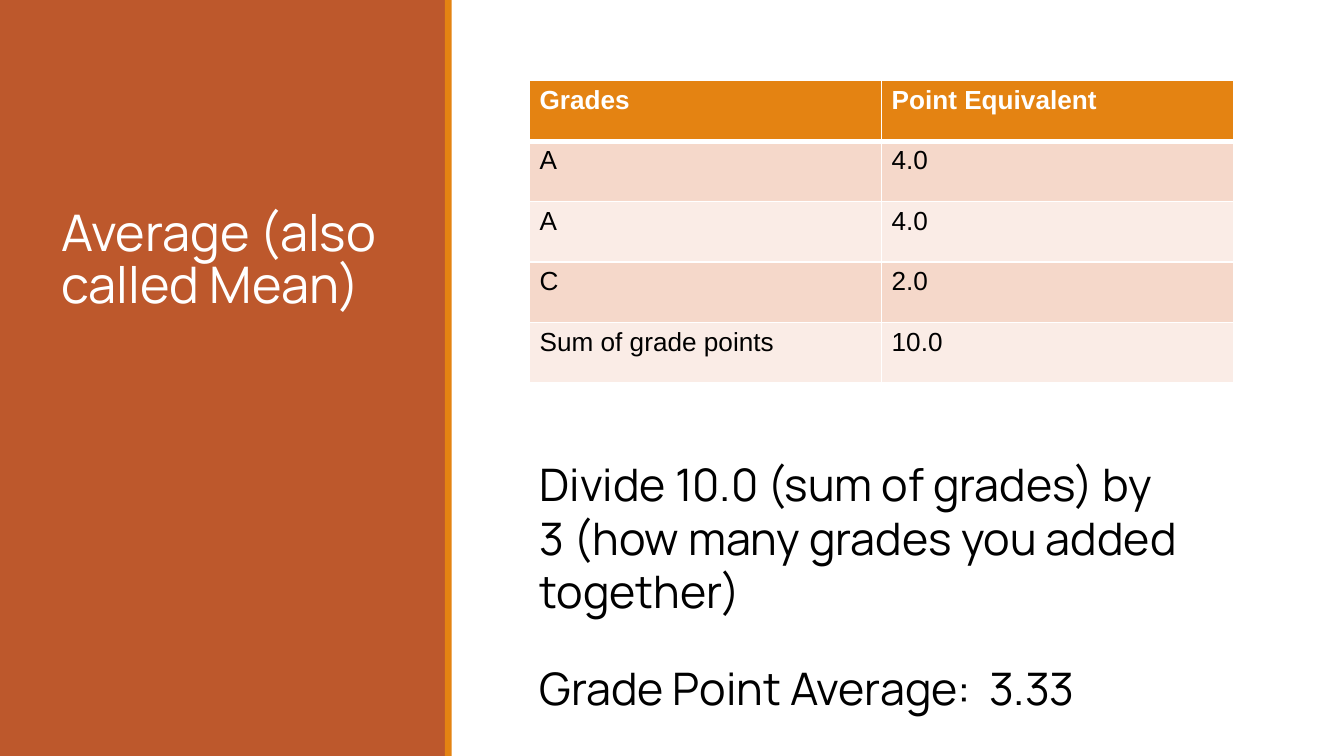
import pptx
import pptx.util
import pptx.dml.color
import pptx.enum.shapes
import pptx.enum.text
import pptx.oxml
import pptx.oxml.ns

W = 10
H = W * 9 / 16
LEFT = 3.94
COL, ROW = 2.62, 0.45
RUST, ORANGE, WHITE, BLACK = "BD582C", "E48312", "FFFFFF", "000000"
BANDS = ("F5D8CA", "FAECE6")
GRADES = [
    ("Grades", "Point Equivalent"),
    ("A", "4.0"),
    ("A", "4.0"),
    ("C", "2.0"),
    ("Sum of grade points", "10.0"),
]


def inches(*lengths):
    return [pptx.util.Inches(n) for n in lengths]


def paint(fill, color):
    fill.solid()
    fill.fore_color.rgb = pptx.dml.color.RGBColor.from_string(color)


def set_margins(holder):
    holder.margin_left = holder.margin_right = pptx.util.Pt(5.4)
    holder.margin_top = holder.margin_bottom = pptx.util.Pt(2.7)


def write(tf, text, size=24, font="Manrope", color=BLACK, bold=False, spacing=None):
    p = tf.paragraphs[0]
    p.line_spacing = spacing
    r = p.add_run()
    r.text = text
    r.font.size = pptx.util.Pt(size)
    r.font.name = font
    r.font.bold = bold
    paint(r.font.fill, color)


def add_bar(s, left, width, color):
    sp = s.shapes.add_shape(
        pptx.enum.shapes.MSO_SHAPE.RECTANGLE, *inches(left, 0, width, H))
    sp.shadow.inherit = False
    paint(sp.fill, color)
    sp.line.fill.background()


def add_text(s, text, box, anchor="TOP", **style):
    tf = s.shapes.add_textbox(*inches(*box)).text_frame
    tf.word_wrap = True
    tf.vertical_anchor = pptx.enum.text.MSO_ANCHOR[anchor]
    set_margins(tf)
    write(tf, text, **style)


def set_border(cell, index, side, points):
    ns = pptx.oxml.ns.nsdecls("a")
    ln = pptx.oxml.parse_xml(
        f'<a:ln{side} {ns} w="{pptx.util.Pt(points)}"><a:solidFill>'
        f'<a:srgbClr val="{WHITE}"/></a:solidFill></a:ln{side}>')
    cell._tc.get_or_add_tcPr().insert(index, ln)


def add_table(s, rows, left, top):
    cols = len(rows[0])
    table = s.shapes.add_table(
        len(rows), cols, *inches(left, top, cols * COL, len(rows) * ROW)).table
    for i, row in enumerate(rows):
        head = i == 0
        for j, text in enumerate(row):
            cell = table.cell(i, j)
            set_margins(cell)
            paint(cell.fill, ORANGE if head else BANDS[(i - 1) % 2])
            write(cell.text_frame, text, size=14, font="Arial",
                  color=WHITE if head else BLACK, bold=head)
            for index, side in enumerate("LRTB"):
                thick = (head and side == "B") or (i == 1 and side == "T")
                set_border(cell, index, side, 3 if thick else 1)


def main():
    prs = pptx.Presentation()
    prs.slide_width, prs.slide_height = inches(W, H)
    s = prs.slides.add_slide(prs.slide_layouts[6])
    add_bar(s, 0, 3.32, RUST)
    add_bar(s, 3.31, 0.05, ORANGE)
    add_text(s, "Average (also called Mean)", (0.38, 0.49, 2.62, 1.88),
             anchor="BOTTOM", size=27, color=WHITE, spacing=0.85)
    add_table(s, GRADES, LEFT, 0.6)
    add_text(s, "Divide 10.0 (sum of grades) by 3 (how many grades you added together)",
             (LEFT, 3.36, 4.93, 0.88))
    add_text(s, "Grade Point Average:  3.33", (LEFT, 4.88, 5.16, 0.48))
    prs.save("out.pptx")


if __name__ == "__main__":
    main()
